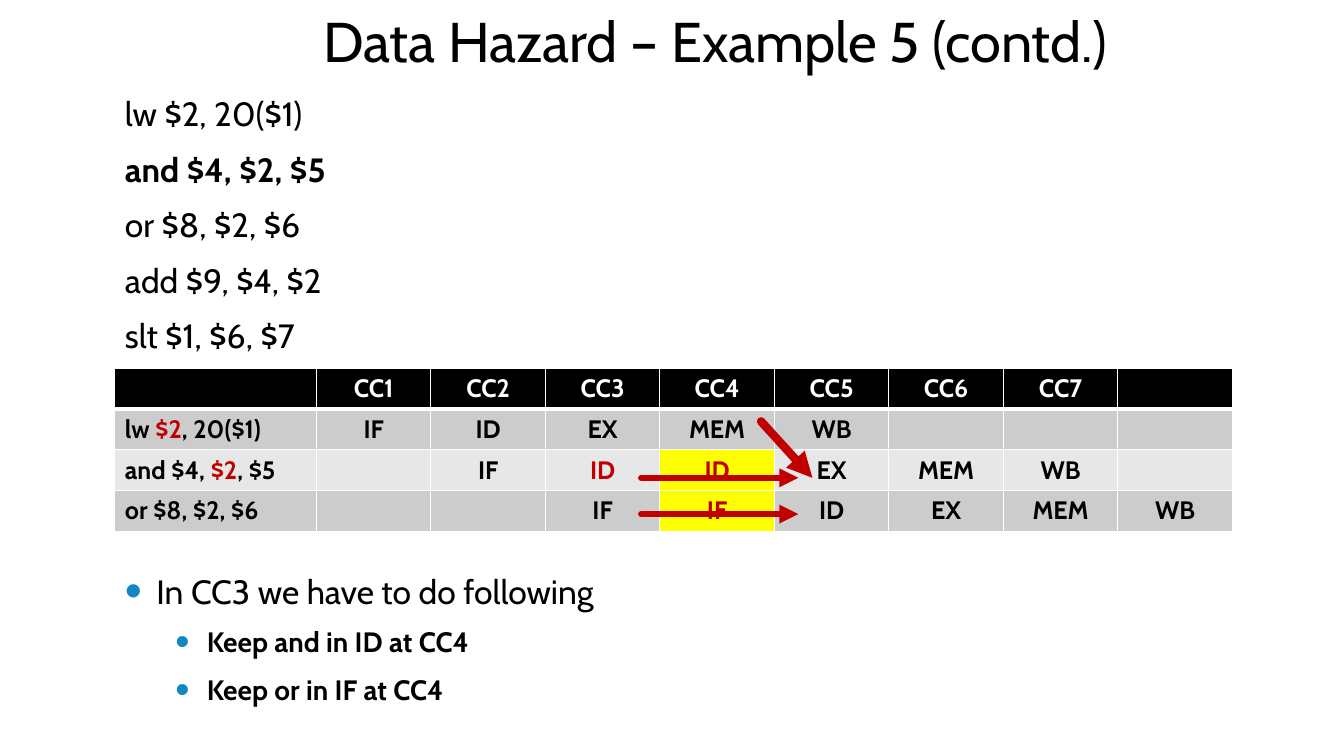
from lxml.etree import SubElement
from pptx import Presentation
from pptx.dml.color import RGBColor
from pptx.enum.shapes import MSO_CONNECTOR
from pptx.enum.text import MSO_ANCHOR, MSO_AUTO_SIZE, PP_ALIGN
from pptx.oxml import parse_xml
from pptx.oxml.ns import nsdecls, qn
from pptx.util import Pt

BLACK = RGBColor(0x00, 0x00, 0x00)
WHITE = RGBColor(0xFF, 0xFF, 0xFF)
RED = RGBColor(0xC0, 0x00, 0x00)
YELLOW = RGBColor(0xFF, 0xFF, 0x00)
BLUE = RGBColor(0x12, 0x87, 0xC3)
GRAY = RGBColor(0xCC, 0xCC, 0xCC)
LIGHT_GRAY = RGBColor(0xE7, 0xE7, 0xE7)
FONT = "Cabin"
LEFT, WIDTH = 82, 789


def add_run(p, text, size, color=BLACK, bold=False):
    r = p.add_run()
    r.text = text
    r.font.name = FONT
    r.font.size = Pt(size)
    r.font.bold = bold
    r.font.color.rgb = color


def place(sp, left, top, width, height):
    """Move a placeholder and return its text frame, centred vertically."""
    sp.left, sp.top, sp.width, sp.height = Pt(left), Pt(top), Pt(width), Pt(height)
    tf = sp.text_frame
    tf.word_wrap = True
    tf.auto_size = MSO_AUTO_SIZE.NONE
    tf.vertical_anchor = MSO_ANCHOR.MIDDLE
    return tf


prs = Presentation()
prs.slide_width, prs.slide_height = Pt(960), Pt(540)
slide = prs.slides.add_slide(prs.slide_layouts.get_by_name("Two Content"))
title, code, notes = slide.placeholders

# Title
p = place(title, 116.6, 0, WIDTH, 57.6).paragraphs[0]
p.alignment = PP_ALIGN.CENTER
add_run(p, "Data Hazard – Example 5 (contd.)", 40)

# Instruction sequence
instructions = [
    ("lw $2, 20($1)", False),
    ("and $4, $2, $5", True),
    ("or $8, $2, $6", False),
    ("add $9, $4, $2", False),
    ("slt $1, $6, $7", False),
]
tf = place(code, LEFT, 57.6, WIDTH, 205.2)
for i, (text, bold) in enumerate(instructions):
    p = tf.paragraphs[0] if i == 0 else tf.add_paragraph()
    p.alignment = PP_ALIGN.JUSTIFY
    p.space_before, p.space_after = Pt(4.8), Pt(6)
    pPr = p._p.get_or_add_pPr()
    pPr.set("marL", "0")
    pPr.set("indent", "0")
    SubElement(pPr, qn("a:buNone"))
    add_run(p, text, 24, bold=bold)

# Pipeline table: label runs, first clock cycle, stages
pipeline = [
    ([("lw ", BLACK), ("$2", RED), (", 20($1)", BLACK)], 1,
     ["IF", "ID", "EX", "MEM", "WB"]),
    ([("and $4, ", BLACK), ("$2", RED), (", $5", BLACK)], 2,
     ["IF", "ID", "ID", "EX", "MEM", "WB"]),
    ([("or $8, $2, $6", BLACK)], 3,
     ["IF", "IF", "ID", "EX", "MEM", "WB"]),
]
red_stages = {(2, 3), (2, 4), (3, 4)}
stalls = {(2, 4), (3, 4)}

table = slide.shapes.add_table(4, 9, Pt(LEFT), Pt(262.8), Pt(798.4), Pt(116.8)).table
for i, column in enumerate(table.columns):
    column.width = Pt(144 if i == 0 else 81.8)
for row in table.rows:
    row.height = Pt(29.2)

for r in range(4):
    for c in range(9):
        cell = table.cell(r, c)
        tcPr = cell._tc.get_or_add_tcPr()
        for side in ("lnL", "lnR", "lnT", "lnB"):
            heavy = (r, side) in ((0, "lnB"), (1, "lnT"))
            tcPr.append(parse_xml(
                f'<a:{side} {nsdecls("a")} w="{Pt(3 if heavy else 1)}"><a:solidFill>'
                f'<a:srgbClr val="{WHITE}"/></a:solidFill></a:{side}>'))
        cell.fill.solid()
        if r == 0:
            color = BLACK
        elif (r, c) in stalls:
            color = YELLOW
        else:
            color = GRAY if r % 2 else LIGHT_GRAY
        cell.fill.fore_color.rgb = color

for c in range(1, 8):
    p = table.cell(0, c).text_frame.paragraphs[0]
    p.alignment = PP_ALIGN.CENTER
    add_run(p, f"CC{c}", 18, WHITE, True)

for r, (label, start, stages) in enumerate(pipeline, 1):
    p = table.cell(r, 0).text_frame.paragraphs[0]
    for text, color in label:
        add_run(p, text, 18, color, True)
    for c, stage in enumerate(stages, start):
        p = table.cell(r, c).text_frame.paragraphs[0]
        p.alignment = PP_ALIGN.CENTER
        add_run(p, stage, 18, RED if (r, c) in red_stages else BLACK, True)

# Forwarding and stall arrows
arrows = [
    (543.6, 301, 580.3, 341.3, 6),
    (458, 341.3, 570.2, 341.3, 4.5),
    (458, 367.2, 570.2, 367.2, 4.5),
]
for x1, y1, x2, y2, weight in arrows:
    arrow = slide.shapes.add_connector(
        MSO_CONNECTOR.STRAIGHT, Pt(x1), Pt(y1), Pt(x2), Pt(y2))
    arrow.line.color.rgb = RED
    arrow.line.width = Pt(weight)
    ln = arrow.line._get_or_add_ln()
    ln.set("cap", "rnd")
    SubElement(ln, qn("a:tailEnd"), type="triangle")
    SubElement(arrow._element.spPr, qn("a:effectLst"))

# Required actions: text, level, size, indent
actions = [
    ("In CC3 we have to do following", 0, 24, 22.5),
    ("Keep and in ID at CC4", 1, 20, 58.5),
    ("Keep or in IF at CC4", 1, 20, 58.5),
]
tf = place(notes, LEFT, 379.6, WIDTH, 152.6)
for i, (text, level, size, indent) in enumerate(actions):
    p = tf.paragraphs[0] if i == 0 else tf.add_paragraph()
    p.level = level
    p.alignment = PP_ALIGN.LEFT
    p.space_before, p.space_after = Pt(size * 0.2), Pt(6)
    pPr = p._p.get_or_add_pPr()
    pPr.set("marL", str(Pt(indent)))
    pPr.set("indent", str(Pt(-22.5)))
    SubElement(SubElement(pPr, qn("a:buClr")), qn("a:srgbClr"), val=str(BLUE))
    SubElement(pPr, qn("a:buSzPct"), val="145000")
    SubElement(pPr, qn("a:buFont"), typeface="Arial")
    SubElement(pPr, qn("a:buChar"), char="•")
    add_run(p, text, size, bold=level == 1)

prs.save("out.pptx")
